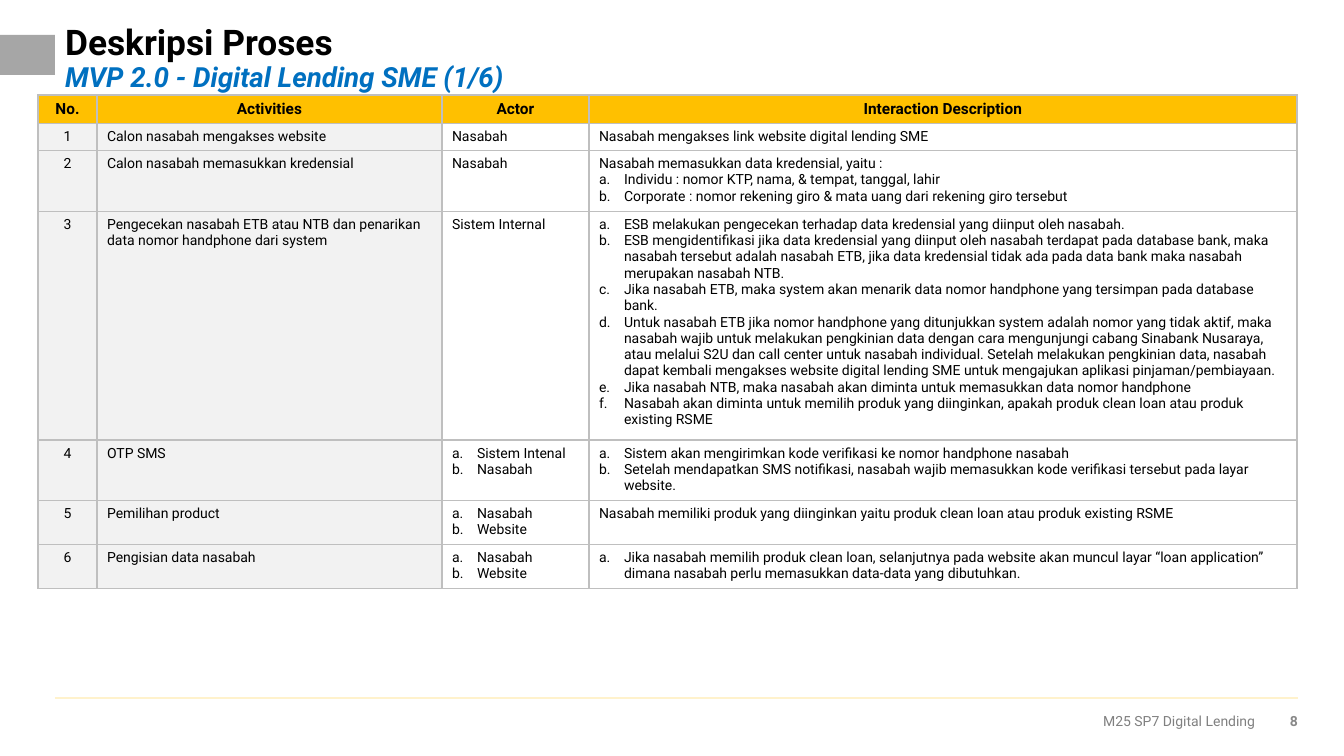
from dataclasses import dataclass

from lxml import etree
from pptx import Presentation
from pptx.dml.color import RGBColor
from pptx.enum.shapes import MSO_CONNECTOR, MSO_SHAPE
from pptx.enum.text import MSO_ANCHOR, MSO_AUTO_SIZE, PP_ALIGN
from pptx.oxml.ns import qn
from pptx.util import Emu, Pt

RECTANGLE = MSO_SHAPE.RECTANGLE
STRAIGHT = MSO_CONNECTOR.STRAIGHT
TOP, MIDDLE = MSO_ANCHOR.TOP, MSO_ANCHOR.MIDDLE
LEFT, CENTER, RIGHT = PP_ALIGN.LEFT, PP_ALIGN.CENTER, PP_ALIGN.RIGHT
NO_AUTOFIT = MSO_AUTO_SIZE.NONE

PX_PER_INCH = 100.8
EMU_PER_PX = 914400 / PX_PER_INCH
TITLE_ONLY_LAYOUT = 5


@dataclass(frozen=True)
class Theme:
    font: str = "Roboto"
    title: str = "000000"
    subtitle: str = "0070C0"
    text: str = "000000"
    footer: str = "808080"
    page_number: str = "898989"
    tab: str = "A6A6A6"
    footer_rule: str = "FFF2CC"
    header_fill: str = "FFC000"
    label_fill: str = "F2F2F2"
    detail_fill: str = "FFFFFF"
    border: str = "BFBFBF"
    title_size: float = 25.2
    subtitle_size: float = 19.8
    header_size: float = 11
    body_size: float = 10
    rule_width: float = 1.75
    border_width: float = 1


THEME = Theme()

HEADERS = ["No.", "Activities", "Actor", "Interaction Description"]
COLUMN_WIDTHS = [59, 345, 147, 708]
ROW_HEIGHTS = [28, 26, 59, 222, 59, 43, 43]

# Within a cell, a string is a plain paragraph and a tuple is a lettered list.
STEPS = [
    ("Calon nasabah mengakses website", ["Nasabah"],
     ["Nasabah mengakses link website digital lending SME"]),
    ("Calon nasabah memasukkan kredensial", ["Nasabah"],
     ["Nasabah memasukkan data kredensial, yaitu :",
      ("Individu : nomor KTP, nama, & tempat, tanggal, lahir",
       "Corporate : nomor rekening giro & mata uang dari rekening giro tersebut")]),
    ("Pengecekan nasabah ETB atau NTB dan penarikan data nomor handphone dari system",
     ["Sistem Internal"],
     [("ESB melakukan pengecekan terhadap data kredensial yang diinput oleh nasabah.",
       "ESB mengidentifikasi jika data kredensial yang diinput oleh nasabah terdapat pada "
       "database bank, maka nasabah tersebut adalah nasabah ETB, jika data kredensial tidak "
       "ada pada data bank maka nasabah merupakan nasabah NTB.",
       "Jika nasabah ETB, maka system akan menarik data nomor handphone yang tersimpan pada "
       "database bank.",
       "Untuk nasabah ETB jika nomor handphone yang ditunjukkan system adalah nomor yang "
       "tidak aktif, maka nasabah wajib untuk melakukan pengkinian data dengan cara "
       "mengunjungi cabang Sinabank Nusaraya, atau melalui S2U dan call center untuk nasabah "
       "individual. Setelah melakukan pengkinian data, nasabah dapat kembali mengakses "
       "website digital lending SME untuk mengajukan aplikasi pinjaman/pembiayaan.",
       "Jika nasabah NTB, maka nasabah akan diminta untuk memasukkan data nomor handphone",
       "Nasabah akan diminta untuk memilih produk yang diinginkan, apakah produk clean loan "
       "atau produk existing RSME")]),
    ("OTP SMS", [("Sistem Intenal", "Nasabah")],
     [("Sistem akan mengirimkan kode verifikasi ke nomor handphone nasabah",
       "Setelah mendapatkan SMS notifikasi, nasabah wajib memasukkan kode verifikasi "
       "tersebut pada layar website.")]),
    ("Pemilihan product", [("Nasabah", "Website")],
     ["Nasabah memiliki produk yang diinginkan yaitu produk clean loan atau produk "
      "existing RSME"]),
    ("Pengisian data nasabah", [("Nasabah", "Website")],
     [("Jika nasabah memilih produk clean loan, selanjutnya pada website akan muncul layar "
       "“loan application” dimana nasabah perlu memasukkan data-data yang dibutuhkan.",)]),
]


def px(length):
    return Emu(round(length * EMU_PER_PX))


def rgb(color):
    return RGBColor.from_string(color)


def add_run(paragraph, text, size, color, bold=False, italic=False):
    run = paragraph.add_run()
    run.text = text
    run.font.name = THEME.font
    run.font.size = Pt(size)
    run.font.color.rgb = rgb(color)
    run.font.bold = bold
    run.font.italic = italic


def add_title(slide, title, subtitle):
    heading = slide.shapes.title
    heading.left, heading.top, heading.width, heading.height = map(px, (55, 27, 1148, 65))
    frame = heading.text_frame
    frame.auto_size = NO_AUTOFIT
    frame.word_wrap = True
    frame.vertical_anchor = MIDDLE
    paragraph = frame.paragraphs[0]
    paragraph.alignment = LEFT
    paragraph.line_spacing = 0.9
    add_run(paragraph, title, THEME.title_size, THEME.title, bold=True)
    paragraph.add_line_break()
    add_run(paragraph, subtitle, THEME.subtitle_size, THEME.subtitle, bold=True, italic=True)


def add_tab(slide):
    tab = slide.shapes.add_shape(RECTANGLE, *map(px, (0, 35, 55, 40)))
    tab.shadow.inherit = False
    tab.fill.solid()
    tab.fill.fore_color.rgb = rgb(THEME.tab)
    tab.line.fill.background()


def add_footer_rule(slide):
    rule = slide.shapes.add_connector(STRAIGHT, *map(px, (55, 698, 1298, 698)))
    rule.line.color.rgb = rgb(THEME.footer_rule)
    rule.line.width = Pt(THEME.rule_width)
    etree.SubElement(rule.line._get_or_add_ln().getparent(), qn("a:effectLst"))


def add_footer_text(slide, text, left, width, inset, color, bold=False):
    footer = slide.shapes.add_textbox(*map(px, (left, 701, width, 39)))
    frame = footer.text_frame
    frame.word_wrap = True
    frame.vertical_anchor = MIDDLE
    frame.margin_left = frame.margin_right = px(inset)
    paragraph = frame.paragraphs[0]
    paragraph.alignment = RIGHT
    add_run(paragraph, text, THEME.body_size, color, bold)


def letter_paragraph(paragraph):
    properties = paragraph._p.get_or_add_pPr()
    properties.set("marL", str(px(25)))
    properties.set("indent", str(px(-25)))
    etree.SubElement(properties, qn("a:buAutoNum"), type="alphaLcPeriod")


def add_borders(cell):
    properties = cell._tc.get_or_add_tcPr()
    for side in ("lnL", "lnR", "lnT", "lnB"):
        border = etree.SubElement(properties, qn(f"a:{side}"), w=str(Pt(THEME.border_width)))
        fill = etree.SubElement(border, qn("a:solidFill"))
        etree.SubElement(fill, qn("a:srgbClr"), val=THEME.border)


def fill_cell(cell, parts, fill, alignment=LEFT, header=False):
    add_borders(cell)
    cell.fill.solid()
    cell.fill.fore_color.rgb = rgb(fill)
    cell.vertical_anchor = MIDDLE if header else TOP
    size = THEME.header_size if header else THEME.body_size
    entries = []
    for part in parts:
        lettered = isinstance(part, tuple)
        entries += [(text, lettered) for text in (part if lettered else (part,))]
    frame = cell.text_frame
    for index, (text, lettered) in enumerate(entries):
        paragraph = frame.add_paragraph() if index else frame.paragraphs[0]
        paragraph.alignment = alignment
        if lettered:
            letter_paragraph(paragraph)
        add_run(paragraph, text, size, THEME.text, bold=header)


def add_process_table(slide):
    bounds = map(px, (38, 95, sum(COLUMN_WIDTHS), sum(ROW_HEIGHTS)))
    process = slide.shapes.add_table(len(ROW_HEIGHTS), len(COLUMN_WIDTHS), *bounds).table
    process.horz_banding = False
    for column, width in zip(process.columns, COLUMN_WIDTHS):
        column.width = px(width)
    for row, height in zip(process.rows, ROW_HEIGHTS):
        row.height = px(height)
    for column, label in enumerate(HEADERS):
        fill_cell(process.cell(0, column), [label], THEME.header_fill, CENTER, header=True)
    for number, (activity, actors, interaction) in enumerate(STEPS, start=1):
        fill_cell(process.cell(number, 0), [str(number)], THEME.label_fill, CENTER)
        fill_cell(process.cell(number, 1), [activity], THEME.label_fill)
        fill_cell(process.cell(number, 2), actors, THEME.detail_fill)
        fill_cell(process.cell(number, 3), interaction, THEME.detail_fill)


def main():
    deck = Presentation()
    deck.slide_width, deck.slide_height = px(1344), px(756)
    slide = deck.slides.add_slide(deck.slide_layouts[TITLE_ONLY_LAYOUT])
    add_tab(slide)
    add_footer_rule(slide)
    add_footer_text(slide, "M25 SP7 Digital Lending", 1023, 242, 10, THEME.footer)
    add_title(slide, "Deskripsi Proses", "MVP 2.0 - Digital Lending SME (1/6)")
    add_footer_text(slide, "8", 1268, 30, 0, THEME.page_number, bold=True)
    add_process_table(slide)
    deck.save("out.pptx")


if __name__ == "__main__":
    main()
